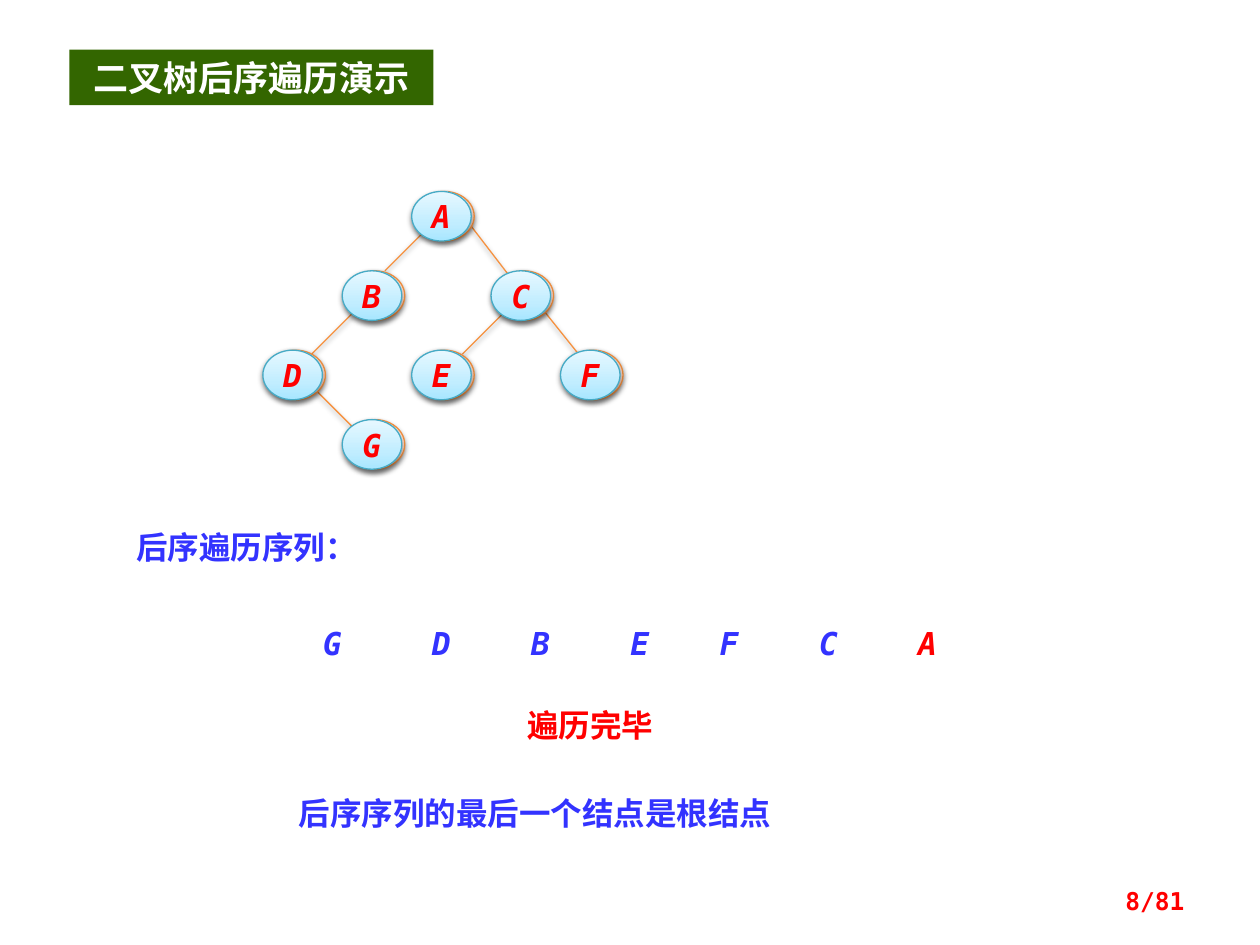
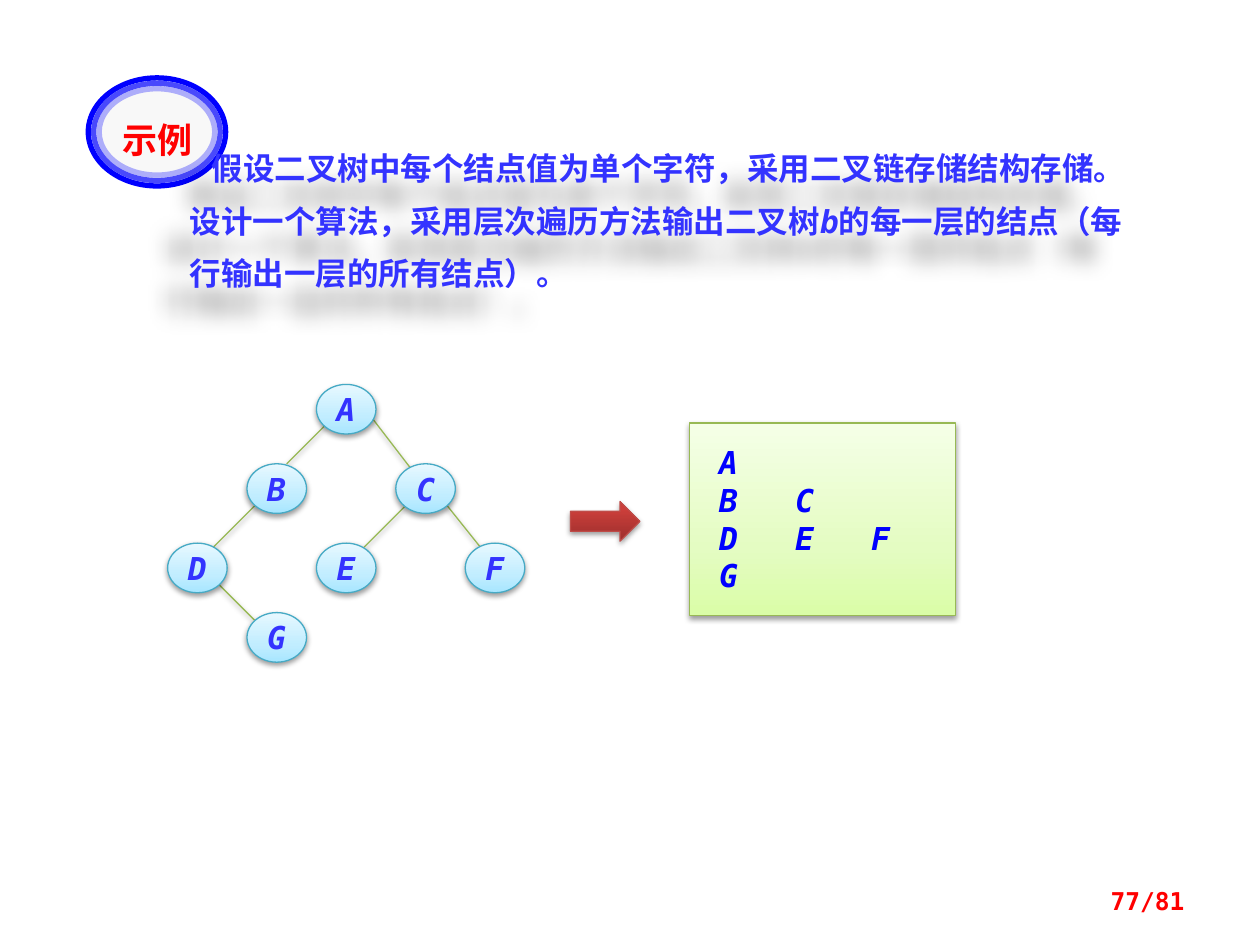
from lxml.etree import SubElement
from pptx import Presentation
from pptx.dml.color import RGBColor
from pptx.enum.shapes import MSO_CONNECTOR, MSO_SHAPE as Shape
from pptx.enum.text import MSO_ANCHOR as Anchor, PP_ALIGN as Align
from pptx.oxml import parse_xml
from pptx.oxml.ns import nsdecls, qn
from pptx.util import Cm, Pt

COLORS = {
    "blue": "3333FF", "pure_blue": "0000FF", "red": "FF0000", "white": "FFFFFF",
    "banner": "336600", "badge": "F8F8F8", "orange_line": "F69240",
    "sky_line": "46AAC5", "lime_line": "98B955", "brick_line": "BF4C48",
}
GRADIENTS = {
    "orange": ((0, "FFD2BD"), (35, "FFDED0"), (100, "FFF2ED")),
    "sky": ((0, "A7E6FF"), (35, "C1EDFF"), (100, "E7F8FF")),
    "lime": ((0, "DAFDA7"), (35, "E4FCC2"), (100, "F5FFE7")),
    "brick": ((0, "9C2F2D"), (80, "CB3E3A"), (100, "CE3B37")),
}
MONO = "DejaVu Sans Mono"
HAN = "Noto Sans CJK SC"
HAN_ALT = "Noto Sans CJK JP"
NODE_SIZE = (1.2, 1)
NODES = {"A": (3, 0), "B": (1.6, 1.6), "C": (4.6, 1.6), "D": (0, 3.2),
         "E": (3, 3.2), "F": (6, 3.2), "G": (1.6, 4.6)}
EDGES = (
    ((1, 4), (1.8, 4.8)),
    ((3.2, 0.8), (2.4, 1.6)),
    ((4.1, 0.65), (4.93, 1.73)),
    ((1.8, 2.4), (0.8, 3.4)),
    ((4.78, 2.46), (3.96, 3.28)),
    ((5.6, 2.4), (6.4, 3.4)),
)


def rgb(name):
    """Return the named colour."""
    return RGBColor.from_string(COLORS[name])


def add_shadow(shape, blur=3.1, distance=1.6, angle=90, opacity=38):
    """Give a shape or connector a soft black outer shadow."""
    effects = SubElement(shape.element.spPr, qn("a:effectLst"))
    shadow = SubElement(effects, qn("a:outerShdw"), blurRad=str(Pt(blur)),
                        dist=str(Pt(distance)), dir=str(angle * 60000), rotWithShape="0")
    black = SubElement(shadow, qn("a:srgbClr"), val="000000")
    SubElement(black, qn("a:alpha"), val=str(opacity * 1000))


def fill_gradient(shape, name):
    """Fill a shape with a named gradient that runs from bottom to top."""
    stops = "".join(f'<a:gs pos="{place * 1000}"><a:srgbClr val="{color}"/></a:gs>'
                    for place, color in GRADIENTS[name])
    shape.element.spPr.insert(2, parse_xml(
        f'<a:gradFill {nsdecls("a")} rotWithShape="1"><a:gsLst>{stops}</a:gsLst>'
        '<a:lin ang="16200000" scaled="0"/></a:gradFill>'))


def write(box, lines, size=18, color="blue", font=MONO, han=HAN, bold=True, italic=False,
          align=Align.LEFT, anchor=Anchor.TOP, wrap=True, insets=None,
          leading=None, first_indent=0, tabs=()):
    """Write lines, each a string or a list of (text, italic) runs, into a box."""
    frame = box.text_frame
    frame.word_wrap = wrap
    frame.vertical_anchor = anchor
    if insets:
        frame.margin_left, frame.margin_top, frame.margin_right, frame.margin_bottom = map(Cm, insets)
    for index, line in enumerate(lines):
        para = frame.add_paragraph() if index else frame.paragraphs[0]
        para.alignment = align
        if leading:
            para.line_spacing = Pt(leading)
        properties = para._p.get_or_add_pPr()
        if first_indent:
            properties.set("indent", str(Cm(first_indent)))
        if tabs:
            stops = SubElement(properties, qn("a:tabLst"))
            for stop in tabs:
                SubElement(stops, qn("a:tab"), pos=str(Cm(stop)), algn="l")
        for text, slanted in [(line, italic)] if isinstance(line, str) else line:
            span = para.add_run()
            span.text = text
            span.font.size = Pt(size)
            span.font.bold = bold
            span.font.italic = slanted
            span.font.color.rgb = rgb(color)
            span.font.name = font
            SubElement(span._r.get_or_add_rPr(), qn("a:ea"), typeface=han)


def add_text(page, left, top, width, height, lines, **style):
    """Add a text box in the given place."""
    box = page.shapes.add_textbox(Cm(left), Cm(top), Cm(width), Cm(height))
    write(box, lines, **style)
    return box


def add_shape(page, kind, left, top, width, height, fill=None, line=None, weight=0.75):
    """Add a preset shape with a plain, gradient or absent fill."""
    shape = page.shapes.add_shape(kind, Cm(left), Cm(top), Cm(width), Cm(height))
    if fill in GRADIENTS:
        fill_gradient(shape, fill)
    elif fill:
        shape.fill.solid()
        shape.fill.fore_color.rgb = rgb(fill)
    else:
        shape.fill.background()
    if line:
        shape.line.color.rgb = rgb(line)
        shape.line.width = Pt(weight)
    else:
        shape.line.fill.background()
    if fill in GRADIENTS:
        add_shadow(shape)
    else:
        shape.shadow.inherit = False
    return shape


def add_edges(page, left, top, color):
    """Draw the branches of the tree."""
    for (x1, y1), (x2, y2) in EDGES:
        edge = page.shapes.add_connector(MSO_CONNECTOR.STRAIGHT, Cm(left + x1), Cm(top + y1),
                                         Cm(left + x2), Cm(top + y2))
        edge.line.color.rgb = rgb(color)
        edge.line.width = Pt(0.75)
        add_shadow(edge)


def add_nodes(page, left, top, fill, line, color):
    """Draw the lettered nodes of the tree."""
    for letter, (x, y) in NODES.items():
        node = add_shape(page, Shape.OVAL, left + x, top + y, *NODE_SIZE, fill=fill, line=line)
        write(node, [letter], color=color, italic=True, align=Align.CENTER,
              anchor=Anchor.MIDDLE, wrap=False)


def add_banner(page, left, top, title):
    """Draw the green title band."""
    banner = add_shape(page, Shape.RECTANGLE, left, top, 7.34, 1.12, fill="banner")
    write(banner, [title], size=20, color="white", font=HAN, align=Align.CENTER,
          anchor=Anchor.MIDDLE)


def add_page_number(page, label):
    """Write the page number at the lower right."""
    add_text(page, 18.21, 17.65, 5.92, 1.02, [label], size=14, color="red",
             align=Align.RIGHT, anchor=Anchor.MIDDLE)


def add_sequence(page, top):
    """Spell the postorder sequence, with the root in red."""
    for letter, left in zip("GDBEFCA", (5.7, 7.9, 9.9, 11.9, 13.7, 15.7, 17.7)):
        add_text(page, left, top, 2, 1.02, [letter], color="red" if letter == "A" else "blue",
                 italic=True, align=Align.CENTER)


def add_badge(page, left, top, label):
    """Draw the ringed oval badge with its label."""
    width, height = 2.77, 2.18
    for inset, fill, opacity in ((0, "badge", 100), (0.11, None, 70), (0.22, None, 30)):
        ring = add_shape(page, Shape.OVAL, left + inset, top + inset, width - 2 * inset,
                         height - 2 * inset, fill=fill, line="pure_blue", weight=3)
        tint = ring.line._ln.find(".//" + qn("a:srgbClr"))
        SubElement(tint, qn("a:alpha"), val=str(opacity * 1000))
    add_text(page, left + 0.17, top + 0.7, 2.44, 0.99, [label], size=20, color="red",
             font=HAN_ALT, han=HAN_ALT, align=Align.CENTER)


def add_output(page, left, top):
    """Draw the arrow and the panel with one tree level per line."""
    add_shape(page, Shape.RIGHT_ARROW, left, top + 1.58, 1.4, 0.8, fill="brick", line="brick_line")
    panel = add_shape(page, Shape.RECTANGLE, left + 2.4, top, 5.36, 3.88,
                      fill="lime", line="lime_line")
    write(panel, ["A", "B\tC", "D\tE\tF", "G"], color="pure_blue", italic=True,
          insets=(0.6, 0.4, 0.25, 0.4), tabs=(1.53, 3.06))


def build_traversal_page(page):
    """Build the finished postorder traversal page."""
    add_edges(page, 5.36, 3.86, "orange_line")
    add_nodes(page, 5.36, 3.86, "orange", "orange_line", "blue")
    add_nodes(page, 5.3, 3.86, "sky", "sky_line", "red")
    add_text(page, 2.5, 10.52, 7.2, 1.02, ["后序遍历序列："])
    add_sequence(page, 12.45)
    add_text(page, 8.5, 14.1, 6.8, 1.02, ["遍历完毕"], color="red", align=Align.CENTER)
    add_banner(page, 1.4, 1, "二叉树后序遍历演示")
    add_text(page, 5.77, 15.88, 13.9, 1.02, ["后序序列的最后一个结点是根结点"],
             font=HAN_ALT, han=HAN_ALT)
    add_page_number(page, "8/81")


def build_example_page(page):
    """Build the level order example page."""
    add_badge(page, 1.78, 1.57, "示例")
    problem = [
        ("假设二叉树中每个结点值为单个字符，采用二叉链存储结构存储。"
         "设计一个算法，采用层次遍历方法输出二叉树", False),
        ("b", True),
        ("的每一层的结点（每行输出一层的所有结点）。", False),
    ]
    box = add_text(page, 3.58, 2.59, 19.46, 3.45, [problem], leading=30, first_indent=0.44)
    add_shadow(box, blur=12, distance=21, angle=135, opacity=35)
    add_edges(page, 3.38, 7.75, "lime_line")
    add_nodes(page, 3.38, 7.75, "sky", "sky_line", "blue")
    add_output(page, 11.5, 8.53)
    add_page_number(page, "77/81")


def main():
    """Build and save the deck."""
    deck = Presentation()
    deck.slide_width, deck.slide_height = Cm(25.4), Cm(19.05)
    for build in (build_traversal_page, build_example_page):
        build(deck.slides.add_slide(deck.slide_layouts[6]))
    deck.save("out.pptx")


if __name__ == "__main__":
    main()
